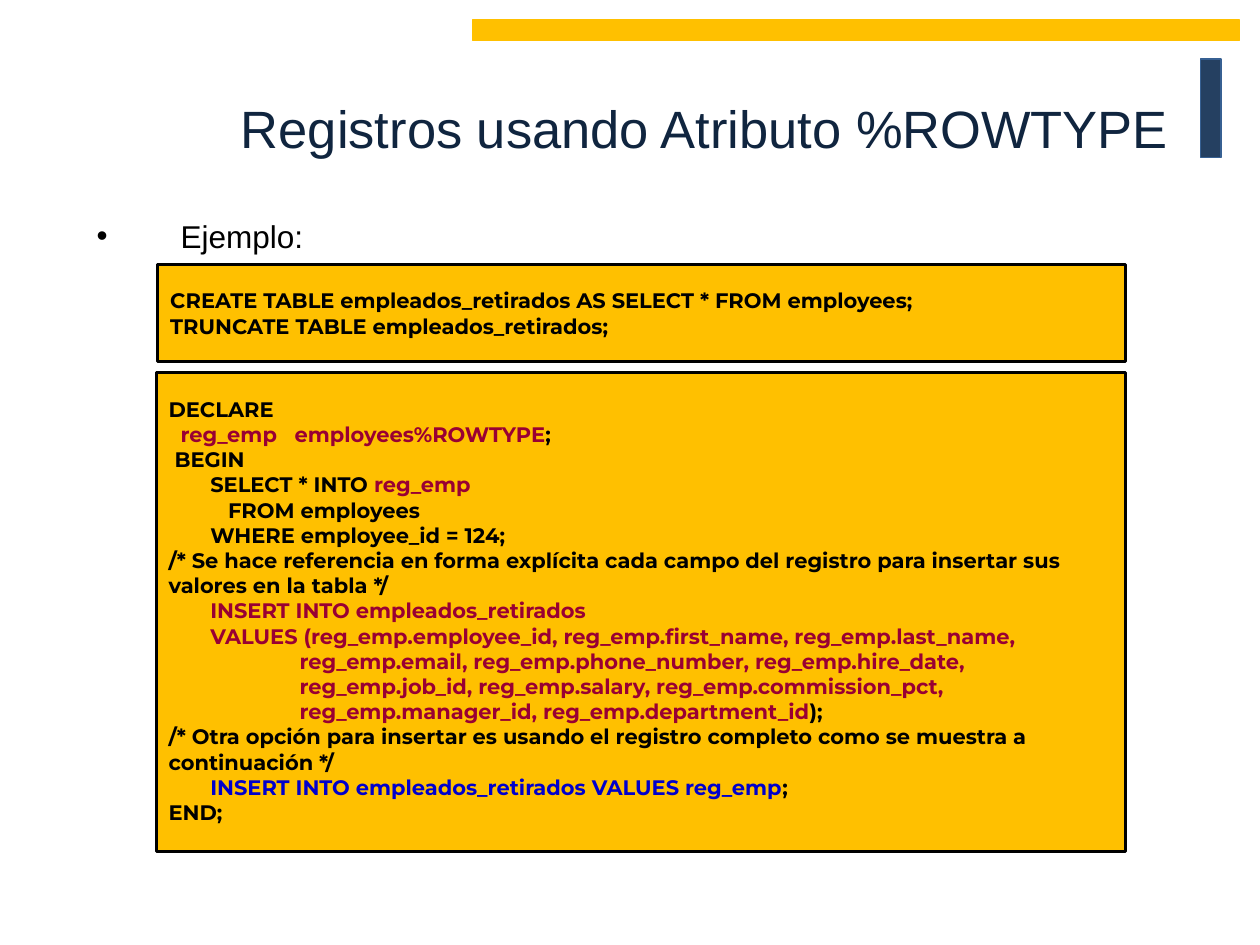
from lxml.etree import SubElement
from pptx import Presentation
from pptx.dml.color import RGBColor
from pptx.enum.shapes import MSO_SHAPE
from pptx.enum.text import MSO_ANCHOR, PP_ALIGN
from pptx.oxml.ns import qn
from pptx.util import Pt

COLORS = {"navy": "254061", "blue_edge": "376092", "gold": "FFC000", "title": "10253F",
          "black": "000000", "red": "990033", "blue": "0000CC"}
CODE_STEP = 3.4  # width of one code column
TAB_STOP = 72

SETUP_CODE = [
    (0, [("CREATE TABLE empleados_retirados AS SELECT * FROM employees;", "black")]),
    (0, [("TRUNCATE TABLE empleados_retirados;", "black")]),
]
BLOCK_CODE = [
    (0, [("DECLARE", "black")]),
    (2, [("reg_emp\temployees%ROWTYPE", "red"), (";", "black")]),
    (1, [("BEGIN", "black")]),
    (7, [("SELECT * INTO ", "black"), ("reg_emp", "red")]),
    (10, [("FROM employees", "black")]),
    (7, [("WHERE employee_id = 124;", "black")]),
    (0, [("/* Se hace referencia en forma explícita cada campo del registro "
          "para insertar sus valores en la tabla */", "black")]),
    (7, [("INSERT INTO empleados_retirados", "red")]),
    (7, [("VALUES (reg_emp.employee_id, reg_emp.first_name, reg_emp.last_name,", "red")]),
    (22, [("reg_emp.email, reg_emp.phone_number, reg_emp.hire_date,", "red")]),
    (22, [("reg_emp.job_id, reg_emp.salary, reg_emp.commission_pct,", "red")]),
    (22, [("reg_emp.manager_id, reg_emp.department_id", "red"), (");", "black")]),
    (0, [("/* Otra opción para insertar es usando el registro completo "
          "como se muestra a continuación */", "black")]),
    (7, [("INSERT INTO empleados_retirados VALUES reg_emp", "blue"), (";", "black")]),
    (0, [("END;", "black")]),
]


def rgb(color):
    """Return the named colour."""
    return RGBColor.from_string(COLORS[color])


def add_text(paragraph, text, *, size, color, font="Arial", bold=False):
    """Append one formatted run to a paragraph."""
    run = paragraph.add_run()
    run.text = text
    run.font.name, run.font.size, run.font.bold = font, Pt(size), bold
    run.font.color.rgb = rgb(color)


def add_bar(slide, box, fill, edge, width):
    """Draw a filled rectangle in the box."""
    bar = slide.shapes.add_shape(MSO_SHAPE.RECTANGLE, *map(Pt, box))
    bar.shadow.inherit = False
    bar.fill.solid()
    bar.fill.fore_color.rgb = rgb(fill)
    bar.line.color.rgb = rgb(edge)
    bar.line.width = Pt(width)
    return bar


def add_frame(slide, box):
    """Place a wrapping text box and return its text frame."""
    frame = slide.shapes.add_textbox(*map(Pt, box)).text_frame
    frame.word_wrap = True
    return frame


def add_title(slide, box, text):
    """Place the right-aligned slide title."""
    frame = add_frame(slide, box)
    frame.vertical_anchor = MSO_ANCHOR.MIDDLE
    frame.margin_right = Pt(15.5)
    heading = frame.paragraphs[0]
    heading.alignment = PP_ALIGN.RIGHT
    add_text(heading, text, size=30, color="title")


def add_bullet(slide, box, text):
    """Place the bulleted lead-in with a hanging indent."""
    lead = add_frame(slide, box).paragraphs[0]
    lead.alignment = PP_ALIGN.JUSTIFY
    lead.line_spacing = 0.8
    lead.space_before = Pt(3.6)
    props = lead._p.get_or_add_pPr()
    props.set("marL", str(Pt(48)))
    props.set("indent", str(Pt(-48)))
    SubElement(props, qn("a:buFont"), typeface="Arial")
    SubElement(props, qn("a:buChar"), char="•")
    add_text(lead, text, size=18, color="black")


def add_code(slide, box, lines):
    """Draw a code panel; each line is (column, coloured pieces)."""
    frame = add_bar(slide, box, "gold", "black", 1.75).text_frame
    frame.word_wrap = True
    frame.vertical_anchor = MSO_ANCHOR.TOP
    frame.margin_top = Pt(13.4)
    for index, (column, pieces) in enumerate(lines):
        line = frame.add_paragraph() if index else frame.paragraphs[0]
        line.alignment = PP_ALIGN.LEFT
        props = line._p.get_or_add_pPr()
        props.set("marL", "0")
        props.set("indent", str(Pt(column * CODE_STEP)))
        tabs = SubElement(props, qn("a:tabLst"))
        SubElement(tabs, qn("a:tab"), pos=str(Pt(TAB_STOP)), algn="l")
        for text, color in pieces:
            add_text(line, text, size=12, color=color, font="Montserrat", bold=True)


def build():
    """Build and save the slide."""
    deck = Presentation()
    deck.slide_width, deck.slide_height = Pt(720), Pt(540)
    slide = deck.slides.add_slide(deck.slide_layouts[6])
    add_bar(slide, (686.2, 33.7, 11.5, 56.2), "navy", "blue_edge", 0.75)
    add_bar(slide, (270, 11.5, 438.5, 11.5), "gold", "gold", 0.75)
    add_title(slide, (99.4, 15.1, 583.9, 115.2), "Registros usando Atributo %ROWTYPE")
    add_bullet(slide, (48.2, 124.6, 629.3, 32.4), "Ejemplo:")
    add_code(slide, (90.2, 151.2, 553, 55.4), SETUP_CODE)
    add_code(slide, (89.3, 213.1, 553.9, 273.6), BLOCK_CODE)
    deck.save("out.pptx")


build()
